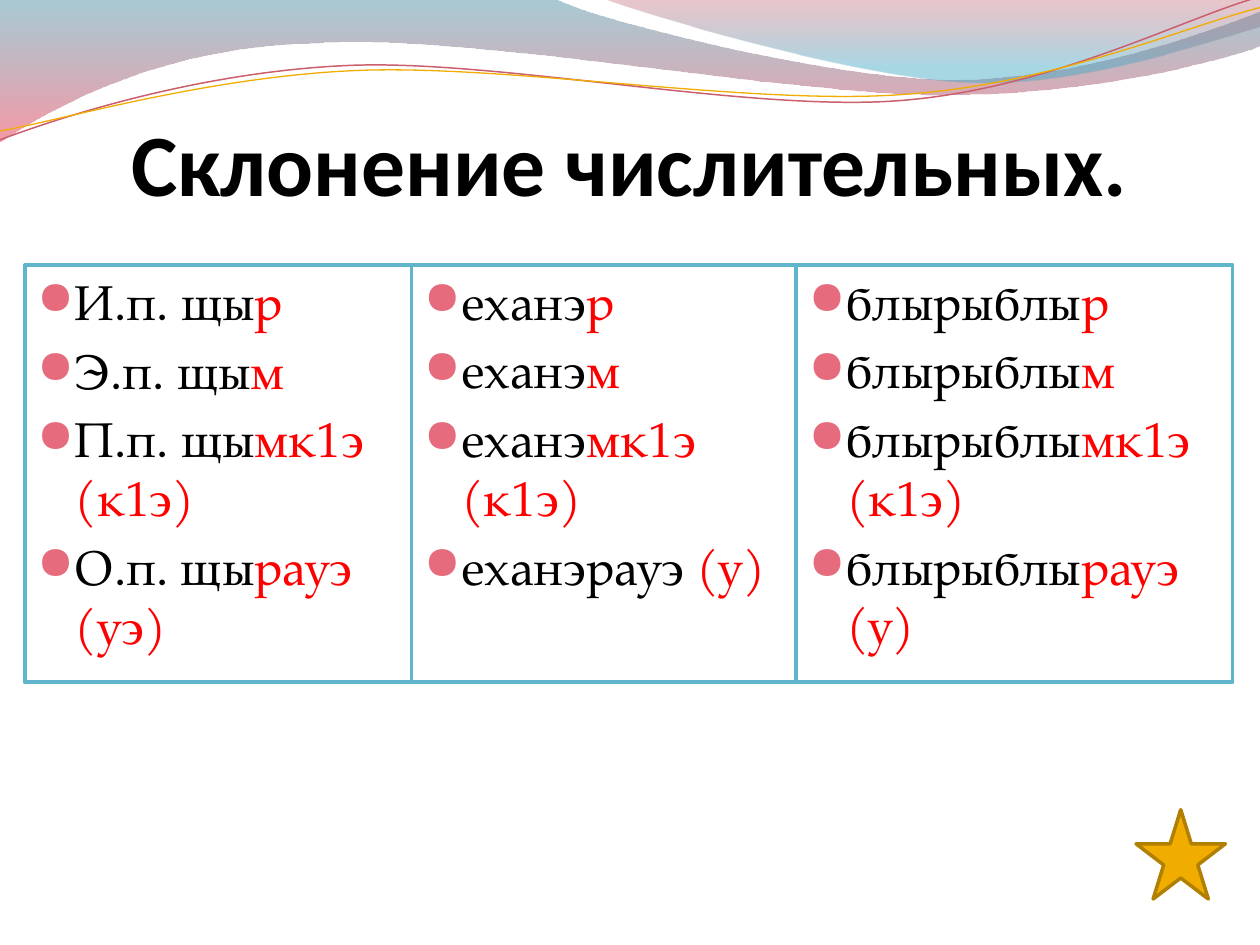
from lxml import etree
from pptx import Presentation, util as u
from pptx.dml.color import RGBColor
from pptx.enum import shapes, text
from pptx.oxml import ns

COLORS = {
    "white": "FFFFFF", "black": "000000", "ending": "FF0000",
    "border": "60B5CC", "bullet": "E66C7D", "star": "F0AD00", "star_edge": "B28000",
    "teal": "3F8A9F", "pink": "EF445B", "rose": "B84253", "aqua": "42ABC7",
    "red_line": "CB5F6E", "gold_line": "F0AD00",
}
RGB = {name: RGBColor.from_string(value) for name, value in COLORS.items()}

deck = Presentation()
deck.slide_width, deck.slide_height = u.Inches(10), u.Inches(7.5)
page = deck.slides.add_slide(deck.slide_layouts[6])
COLUMN, ROW = deck.slide_width / 100, deck.slide_height / 75


def grid(left, top, width, height):
    return [round(n * size) for n, size in zip((left, top, width, height), (COLUMN, ROW) * 2)]


def draw_path(start, segments, closed):
    builder = page.shapes.build_freeform(start[0] * COLUMN, start[1] * ROW)
    builder.add_line_segments([(s[-2] * COLUMN, s[-1] * ROW) for s in segments], close=closed)
    shape = builder.convert_to_shape()
    shape.shadow.inherit = False
    for node, segment in zip(list(shape.element.iter(ns.qn("a:lnTo"))), segments):
        if len(segment) == 6:
            curve = etree.Element(ns.qn("a:cubicBezTo"))
            for x, y in zip(segment[::2], segment[1::2]):
                etree.SubElement(curve, ns.qn("a:pt"), x=str(round(x * COLUMN) - shape.left),
                                 y=str(round(y * ROW) - shape.top))
            node.getparent().replace(node, curve)
    return shape


waves = [
    ((0, 0), [(44, -0.1), (47.6, 1.7, 66.4, 6.3, 75.8, 6.3), (85.3, 6.3, 95.8, 2.6, 100, 0.9),
              (100.1, 3.6), (98.3, 4.4, 87, 7.6, 74.6, 7.5), (62.2, 7.5, 38.2, 2.8, 25.7, 3.4),
              (12.9, 3.6, 4.6, 8.3, -0.1, 11.3), (0, 0)],
     [(0, "teal", 45), (1, "pink", 55)]),
    ((47.9, -0.1), [(50.9, 1.1, 68.2, 6.2, 76.9, 6.5), (85.6, 6.9, 96.1, 3.2, 100, 2.1),
                    (100, 0), (47.9, -0.1)],
     [(0, "rose", 30), (0.8, "aqua", 45)]),
]
for start, segments, stops in waves:
    wave = draw_path(start, segments, True)
    wave.line.fill.background()
    wave.fill.gradient()
    wave.fill.gradient_angle = 270
    for stop, (position, color, _) in zip(wave.fill.gradient_stops, stops):
        stop.position = position
        stop.color.rgb = RGB[color]
    for node, (_, _, opacity) in zip(wave.element.iter(ns.qn("a:srgbClr")), stops):
        etree.SubElement(node, ns.qn("a:alpha"), val=str(opacity * 1000))

ribbons = [
    ((0, 11.1), [(4.8, 9.3, 15.8, 5.7, 27.7, 5.2), (39.5, 4.7, 59.3, 8.9, 71.3, 8),
                 (83.3, 7.1, 93.8, 1.5, 99.8, -0.2)], "red_line", 0.85),
    ((0, 10.4), [(4.7, 9.6, 16.4, 6.1, 28.3, 5.6), (40.3, 5.1, 59.7, 8.4, 71.7, 7.5),
                 (83.6, 6.7, 94.1, 2.1, 100, 0.6)], "gold_line", 0.75),
]
for start, segments, color, width in ribbons:
    ribbon = draw_path(start, segments, False)
    ribbon.fill.background()
    ribbon.line.color.rgb = RGB[color]
    ribbon.line.width = u.Pt(width)

title = page.shapes.add_textbox(*grid(5, 7.7, 90, 9.3))
frame = title.text_frame
frame.word_wrap = True
frame.vertical_anchor = text.MSO_ANCHOR.BOTTOM
frame.margin_left = frame.margin_right = frame.margin_bottom = 0
frame.text = "Склонение числительных."
para = frame.paragraphs[0]
para.alignment = text.PP_ALIGN.CENTER
span = para.runs[0]
span.font.name, span.font.size, span.font.bold = "Calibri", u.Pt(50), True
span.font.color.rgb = RGB["black"]

declensions = [
    (1.97, 21.05, 30.7, [("И.п. щы", "р"), ("Э.п. щы", "м"),
                         ("П.п. щы", "мк1э (к1э)"), ("О.п. щы", "рауэ (уэ)")]),
    (32.66, 21.03, 30.7, [("еханэ", "р"), ("еханэ", "м"),
                          ("еханэ", "мк1э (к1э)"), ("еханэрауэ ", "(у)")]),
    (63.19, 21.03, 34.65, [("блырыблы", "р"), ("блырыблы", "м"),
                           ("блырыблы", "мк1э (к1э)"), ("блырыблы", "рауэ (у)")]),
]
for left, top, width, forms in declensions:
    box = page.shapes.add_shape(shapes.MSO_SHAPE.RECTANGLE, *grid(left, top, width, 33.1))
    box.shadow.inherit = False
    box.fill.solid()
    box.fill.fore_color.rgb = RGB["white"]
    box.line.color.rgb = RGB["border"]
    box.line.width = u.Pt(2)
    frame = box.text_frame
    frame.word_wrap = True
    frame.vertical_anchor = text.MSO_ANCHOR.TOP
    for index, form in enumerate(forms):
        para = frame.add_paragraph() if index else frame.paragraphs[0]
        para.alignment = text.PP_ALIGN.LEFT
        para.space_before = u.Pt(5.6 if index else 0)
        props = para._p.get_or_add_pPr()
        props.set("marL", str(round(3 * COLUMN)))
        props.set("indent", str(round(-3 * COLUMN)))
        tint = etree.SubElement(props, ns.qn("a:buClr"))
        etree.SubElement(tint, ns.qn("a:srgbClr"), val=COLORS["bullet"])
        etree.SubElement(props, ns.qn("a:buSzPct"), val="95000")
        etree.SubElement(props, ns.qn("a:buFont"), typeface="OpenSymbol")
        etree.SubElement(props, ns.qn("a:buChar"), char="●")
        for words, color in zip(form, ("black", "ending")):
            span = para.add_run()
            span.text = words
            span.font.name, span.font.size = "TeX Gyre Pagella", u.Pt(28)
            span.font.color.rgb = RGB[color]

star = page.shapes.add_shape(shapes.MSO_SHAPE.STAR_5_POINT, *grid(90.16, 64.26, 7.1, 7.1))
star.shadow.inherit = False
star.fill.solid()
star.fill.fore_color.rgb = RGB["star"]
star.line.color.rgb = RGB["star_edge"]
star.line.width = u.Pt(2)

deck.save("out.pptx")
